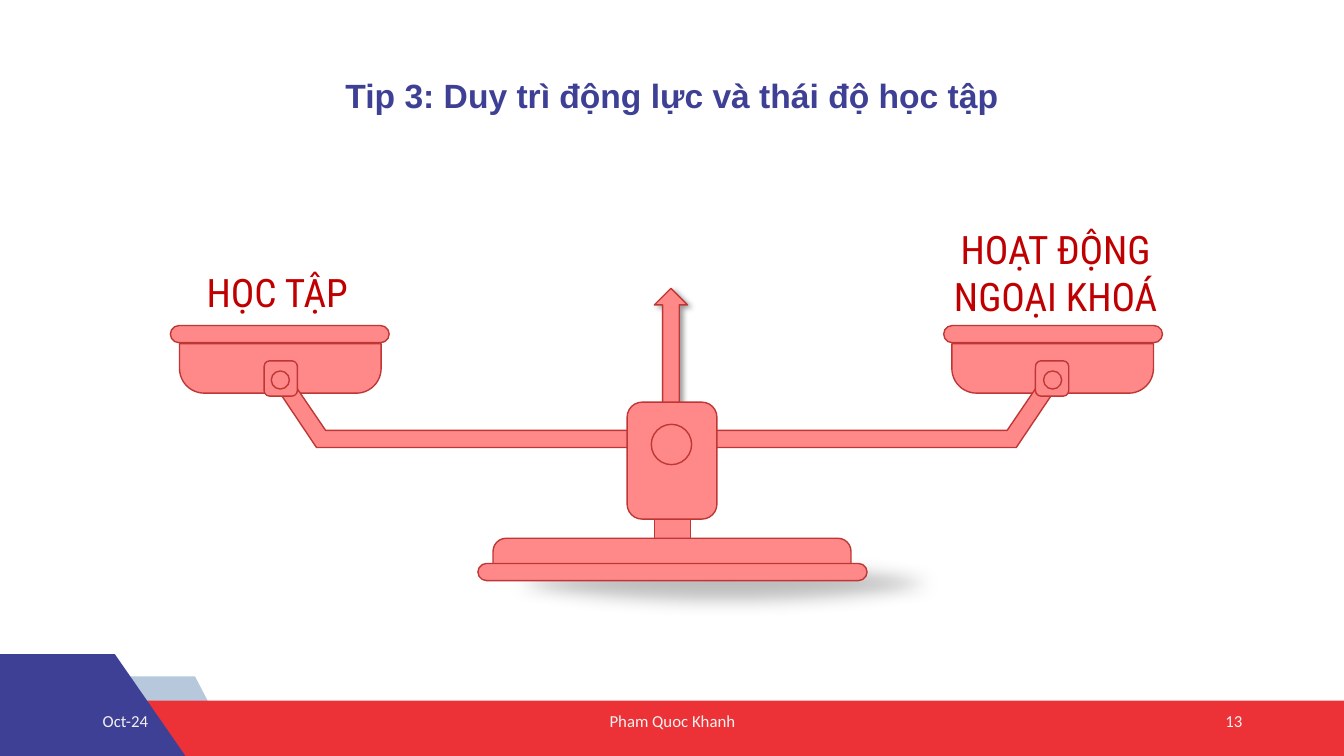
import lxml.etree
import pptx
import pptx.dml.color
import pptx.enum.shapes
import pptx.enum.text
import pptx.oxml
import pptx.oxml.ns
import pptx.util

Inches = pptx.util.Inches
RGBColor = pptx.dml.color.RGBColor
SHAPE = pptx.enum.shapes.MSO_SHAPE
ALIGN = pptx.enum.text.PP_ALIGN
ANCHOR = pptx.enum.text.MSO_ANCHOR

NAVY = RGBColor(0x3E, 0x40, 0x95)
RED = RGBColor(0xED, 0x32, 0x37)
PALE_BLUE = RGBColor(0xB7, 0xC8, 0xDC)
PINK = RGBColor(0xFF, 0x89, 0x89)
OUTLINE = RGBColor(0xBE, 0x37, 0x35)
LABEL_RED = RGBColor(0xC0, 0x00, 0x00)
FOOTER_GREY = RGBColor(0xF2, 0xF2, 0xF2)
SHADOW_GREY = RGBColor(0xBF, 0xBF, 0xBF)
BEAM_CENTRE = 6.61
EFFECTS = '<a:effectLst %s>{}</a:effectLst>' % pptx.oxml.ns.nsdecls("a")

deck = pptx.Presentation()
deck.slide_width, deck.slide_height = Inches(13.33), Inches(7.5)
slide = deck.slides.add_slide(deck.slide_layouts[5])


def add_part(outline, box=None, fill=PINK, line=OUTLINE, adjust=(), rotation=0):
    """Draw a preset shape in a box, or a polygon from a list of points."""
    if box:
        part = slide.shapes.add_shape(outline, *[Inches(v) for v in box])
        for index, value in enumerate(adjust):
            part.adjustments[index] = value
    else:
        points = [(Inches(x), Inches(y)) for x, y in outline]
        builder = slide.shapes.build_freeform(*points[0])
        builder.add_line_segments(points[1:], close=True)
        part = builder.convert_to_shape()
    part.rotation = rotation
    part.shadow.inherit = False
    part.fill.solid()
    part.fill.fore_color.rgb = fill
    if line:
        part.line.color.rgb = line
        part.line.width = pptx.util.Pt(1)
    else:
        part.line.fill.background()
    return part


def write_text(text, box, holder=None, size=12, font="Calibri", color=FOOTER_GREY,
               bold=False, align=ALIGN.CENTER, anchor=ANCHOR.MIDDLE):
    """Put formatted text in a placeholder or in a new text box."""
    left, top, width, height = [Inches(v) for v in box]
    if holder is None:
        holder = slide.shapes.add_textbox(left, top, width, height)
    holder.left, holder.top, holder.width, holder.height = left, top, width, height
    frame = holder.text_frame
    frame.word_wrap = True
    frame.vertical_anchor = anchor
    frame.text = text
    paragraph = frame.paragraphs[0]
    paragraph.alignment = align
    run_font = paragraph.runs[0].font
    run_font.name, run_font.size, run_font.bold = font, pptx.util.Pt(size), bold
    run_font.color.rgb = color


# Title
write_text("Tip 3: Duy trì động lực và thái độ học tập", (2.66, 0.69, 8.01, 0.5),
           holder=slide.shapes.title, size=24, font="Arial", color=NAVY, bold=True)

# Footer band
add_part(SHAPE.TRAPEZOID, (0, 6.71, 2.34, 0.78), fill=PALE_BLUE, line=None, adjust=[0.52])
add_part([(0.84, 6.95), (13.33, 6.95), (13.33, 7.5), (0.59, 7.5)], fill=RED, line=None)
add_part([(0, 6.49), (1.14, 6.49), (1.84, 7.5), (0, 7.5)], fill=NAVY, line=None)
for text, left, width, align in [("Oct-24", 0.92, 3, ALIGN.LEFT),
                                 ("Pham Quoc Khanh", 4.42, 4.5, ALIGN.CENTER),
                                 ("13", 9.42, 3, ALIGN.RIGHT)]:
    write_text(text, (left, 6.95, width, 0.4), align=align)

# Soft ground shadow and pointer
ground = add_part(SHAPE.OVAL, (4.66, 5.45, 5.04, 0.67), fill=SHADOW_GREY, line=None)
pointer = add_part(SHAPE.UP_ARROW, (6.49, 2.86, 0.33, 2.32))
for part, effect in [
    (ground, '<a:softEdge rad="158750"/>'),
    (pointer, '<a:outerShdw blurRad="50800" dist="38100" dir="2700000" algn="tl">'
              '<a:srgbClr val="000000"><a:alpha val="40000"/></a:srgbClr></a:outerShdw>'),
]:
    properties = part._element.spPr
    empty_effects = properties.find(pptx.oxml.ns.qn("a:effectLst"))
    properties.replace(empty_effects, pptx.oxml.parse_xml(EFFECTS.format(effect)))

# Two mirrored sides of the scale: pan, rim, arm, hinge, pin and label
arm = [(2.89, 3.77), (3.23, 4.27), (6.61, 4.27), (6.61, 4.44), (3.14, 4.44), (2.75, 3.86)]
for mirrored, label, label_top, label_height in [(False, "HỌC TẬP", 2.61, 0.57),
                                                 (True, "HOẠT ĐỘNG NGOẠI KHOÁ", 2.19, 1.04)]:
    def_boxes = [(1.78, 3.41, 2, 0.49), (1.69, 3.23, 2.17, 0.17), (2.62, 3.58, 0.33, 0.35),
                 (2.69, 3.68, 0.18, 0.18), (1.25, label_top, 3, label_height)]
    arm_points = arm
    if mirrored:
        def_boxes = [(2 * BEAM_CENTRE - x - w, y, w, h) for x, y, w, h in def_boxes]
        arm_points = [(2 * BEAM_CENTRE - x, y) for x, y in arm]
    pan, rim, hinge, pin, label_box = def_boxes
    add_part(SHAPE.ROUND_2_SAME_RECTANGLE, pan, adjust=[0.5, 0], rotation=180)
    add_part(SHAPE.ROUNDED_RECTANGLE, rim, adjust=[0.5])
    add_part(arm_points)
    add_part(SHAPE.ROUNDED_RECTANGLE, hinge)
    add_part(SHAPE.OVAL, pin)
    write_text(label, label_box, size=28, font="Roboto Condensed", color=LABEL_RED,
               anchor=ANCHOR.TOP)

# Post and base
add_part(SHAPE.RECTANGLE, (6.49, 5.15, 0.36, 0.23))
add_part(SHAPE.ROUNDED_RECTANGLE, (6.22, 3.99, 0.89, 1.16))
add_part(SHAPE.ROUND_2_SAME_RECTANGLE, (4.89, 5.34, 3.55, 0.26), adjust=[0.5, 0])
add_part(SHAPE.ROUNDED_RECTANGLE, (4.74, 5.59, 3.86, 0.17), adjust=[0.5])
add_part(SHAPE.OVAL, (6.46, 4.21, 0.4, 0.4))

deck.save("out.pptx")
